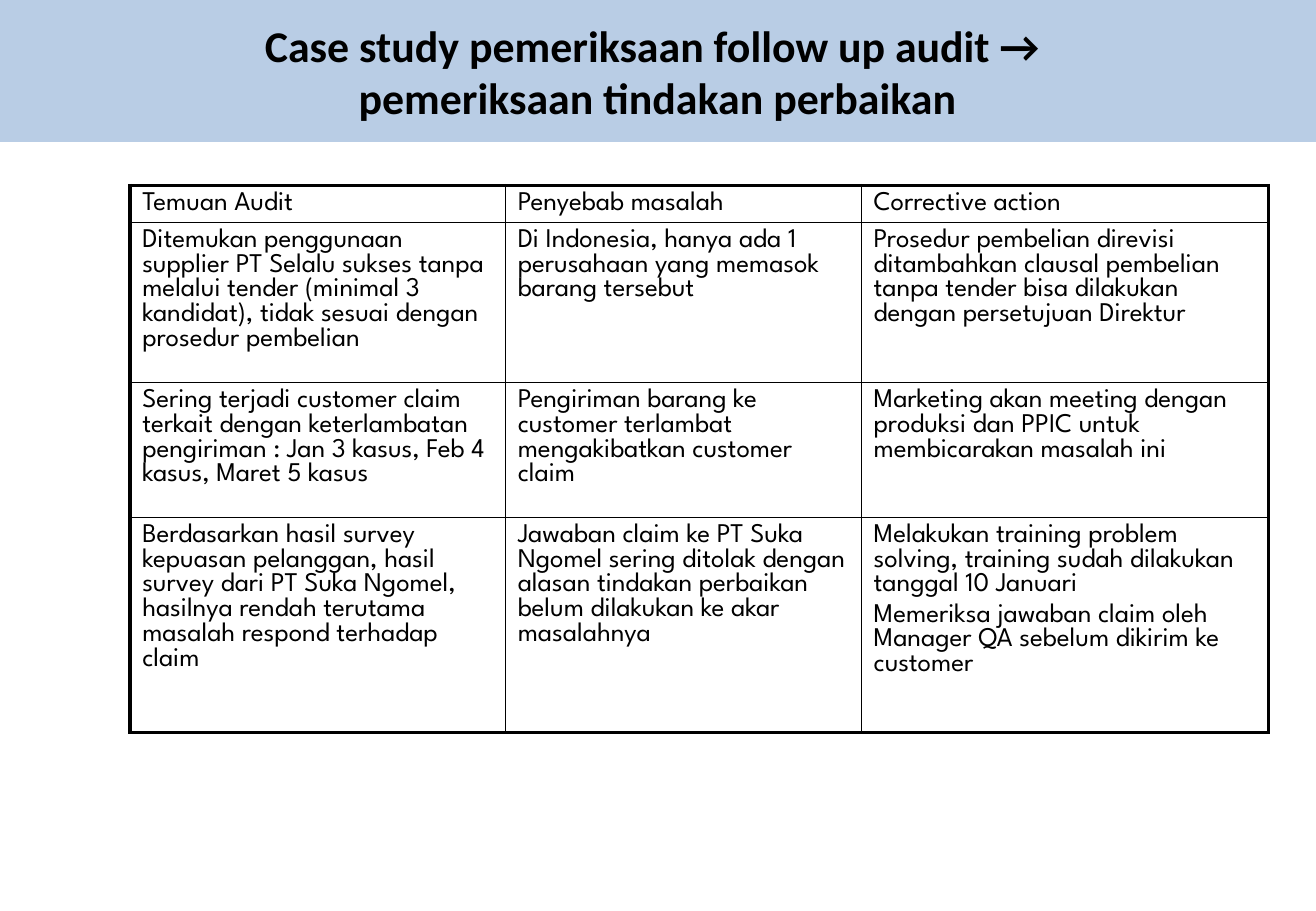
from lxml import etree
from pptx import Presentation
from pptx import util as u
from pptx.dml.color import RGBColor
from pptx.enum import shapes, text
from pptx.oxml.ns import qn

COLORS = {"band": "B9CDE5", "ink": "000000"}
SLIDE_WIDTH, SLIDE_HEIGHT = u.Cm(27.51), u.Cm(19.05)
OUTER_LINE, INNER_LINE = u.Pt(2.25), u.Pt(1)
TITLE = "Case study pemeriksaan follow up audit → \vpemeriksaan tindakan perbaikan"
COLUMN_WIDTHS = [7.85, 7.44, 8.51]
ROW_HEIGHTS = [0.77, 3.35, 2.82, 4.5]
FINDINGS = [
    ["Temuan Audit", "Penyebab masalah", "Corrective action"],
    [
        "Ditemukan penggunaan supplier PT Selalu sukses tanpa melalui tender "
        "(minimal 3 kandidat), tidak sesuai dengan prosedur pembelian",
        "Di Indonesia, hanya ada 1 perusahaan yang memasok barang tersebut",
        "Prosedur pembelian direvisi ditambahkan clausal pembelian tanpa tender "
        "bisa dilakukan dengan persetujuan Direktur",
    ],
    [
        "Sering terjadi customer claim terkait dengan keterlambatan pengiriman : "
        "Jan 3 kasus, Feb 4 kasus, Maret 5 kasus",
        "Pengiriman barang ke customer terlambat mengakibatkan customer claim",
        "Marketing akan meeting dengan produksi dan PPIC untuk membicarakan masalah ini",
    ],
    [
        "Berdasarkan hasil survey kepuasan pelanggan, hasil survey dari PT Suka Ngomel, "
        "hasilnya rendah terutama masalah respond terhadap claim",
        "Jawaban claim ke PT Suka Ngomel sering ditolak dengan alasan tindakan perbaikan "
        "belum dilakukan ke akar masalahnya",
        "Melakukan training problem solving, training sudah dilakukan tanggal 10 Januari\n"
        "Memeriksa jawaban claim oleh Manager QA sebelum dikirim ke customer",
    ],
]


def write_text(frame, content, font, size, bold=False,
               align=text.PP_ALIGN.LEFT, space_before=0):
    frame.word_wrap = True
    frame.text = content
    for index, paragraph in enumerate(frame.paragraphs):
        paragraph.alignment = align
        if index:
            paragraph.space_before = u.Pt(space_before)
        for run in paragraph.runs:
            run.font.name = font
            run.font.size = u.Pt(size)
            run.font.bold = bold
            run.font.color.rgb = RGBColor.from_string(COLORS["ink"])


def set_borders(cell, widths):
    properties = cell._tc.get_or_add_tcPr()
    for side, width in widths.items():
        line = etree.SubElement(properties, qn(f"a:ln{side}"), w=str(int(width)))
        fill = etree.SubElement(line, qn("a:solidFill"))
        etree.SubElement(fill, qn("a:srgbClr"), val=COLORS["ink"])


def add_title_band(slide, left, top, width, height):
    band = slide.shapes.add_shape(
        shapes.MSO_SHAPE.RECTANGLE, left, top, width, height)
    band.shadow.inherit = False
    band.fill.solid()
    band.fill.fore_color.rgb = RGBColor.from_string(COLORS["band"])
    band.line.fill.background()
    band.text_frame.vertical_anchor = text.MSO_ANCHOR.MIDDLE
    write_text(band.text_frame, TITLE, "Calibri", 26, bold=True,
               align=text.PP_ALIGN.CENTER)


def add_findings_table(slide, left, top):
    last_row, last_column = len(ROW_HEIGHTS) - 1, len(COLUMN_WIDTHS) - 1
    table = slide.shapes.add_table(
        len(ROW_HEIGHTS), len(COLUMN_WIDTHS), left, top,
        u.Cm(sum(COLUMN_WIDTHS)), u.Cm(sum(ROW_HEIGHTS))).table
    table.first_row = table.horz_banding = False
    for column, width in zip(table.columns, COLUMN_WIDTHS):
        column.width = u.Cm(width)
    for row, height in zip(table.rows, ROW_HEIGHTS):
        row.height = u.Cm(height)
    for r, entries in enumerate(FINDINGS):
        for c, entry in enumerate(entries):
            cell = table.cell(r, c)
            edges = {"L": c == 0, "R": c == last_column,
                     "T": r == 0, "B": r == last_row}
            set_borders(cell, {side: OUTER_LINE if outer else INNER_LINE
                               for side, outer in edges.items()})
            cell.fill.background()
            write_text(cell.text_frame, entry, "League Spartan", 16,
                       space_before=3.2)


def main():
    presentation = Presentation()
    presentation.slide_width = SLIDE_WIDTH
    presentation.slide_height = SLIDE_HEIGHT
    slide = presentation.slides.add_slide(presentation.slide_layouts[6])
    add_title_band(slide, 0, 0, SLIDE_WIDTH, u.Cm(2.97))
    add_findings_table(slide, u.Cm(2.72), u.Cm(3.88))
    presentation.save("out.pptx")


if __name__ == "__main__":
    main()
